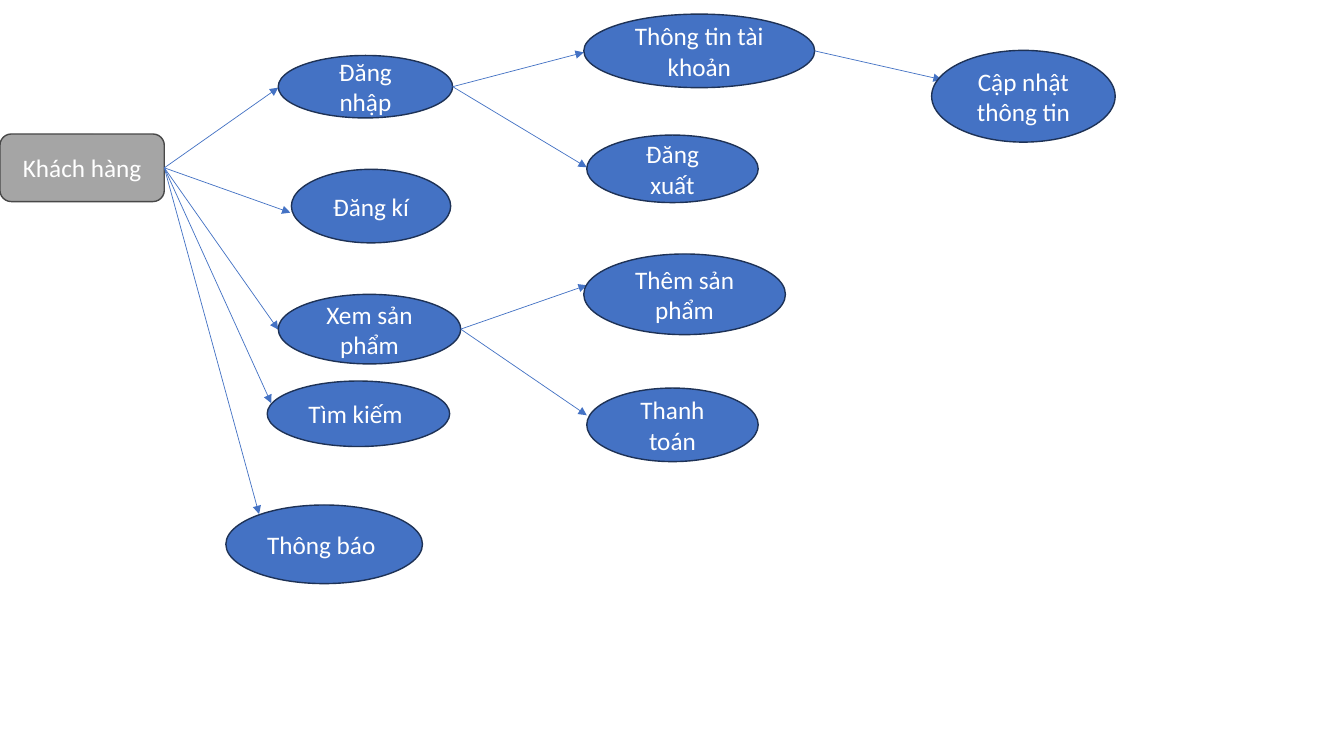
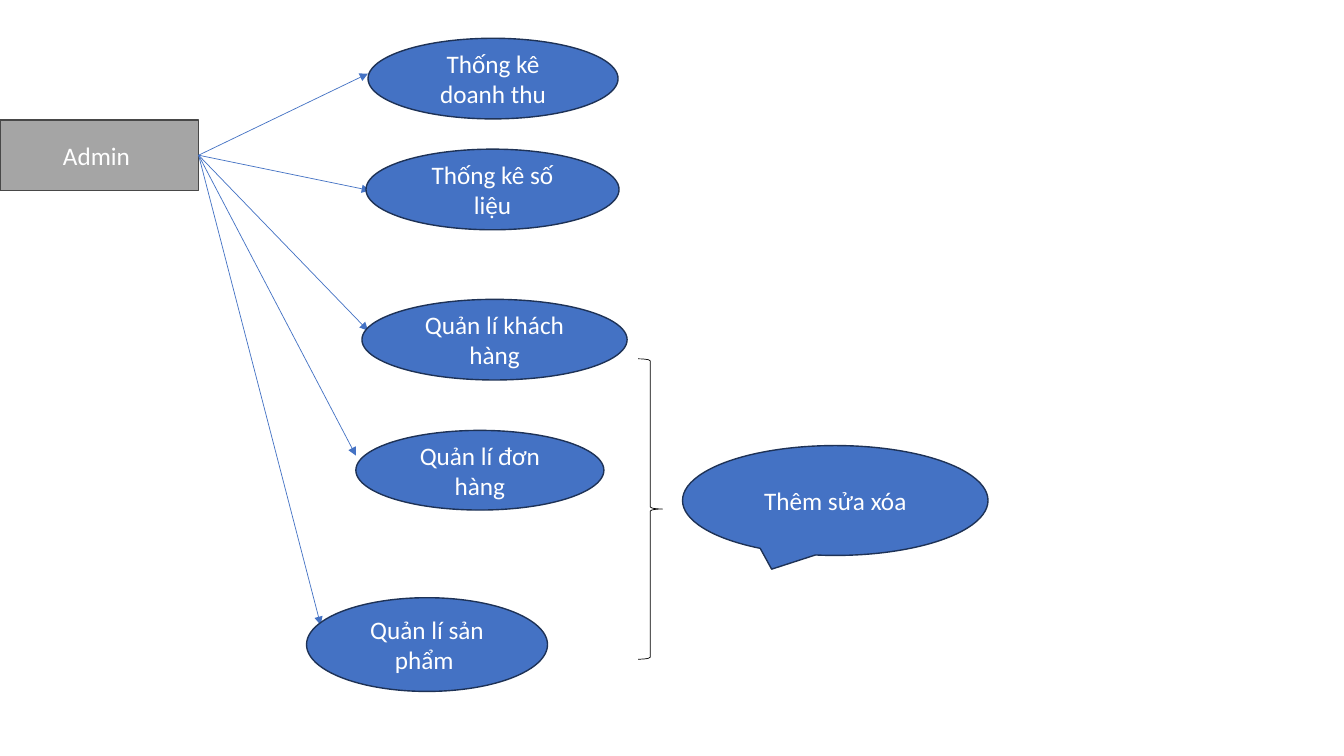
import dataclasses

import lxml.etree
import pptx
import pptx.dml.color
import pptx.enum.shapes
import pptx.enum.text
import pptx.oxml.ns
import pptx.util

Inches = pptx.util.Inches
Preset = pptx.enum.shapes.MSO_SHAPE


@dataclasses.dataclass(frozen=True)
class Theme:
    actor_fill: str = "A5A5A5"
    actor_outline: str = "484848"
    action_fill: str = "4472C4"
    action_outline: str = "1E3256"
    arrow: str = "4472C4"
    brace: str = "000000"
    text: str = "FFFFFF"
    font: str = "Calibri"
    text_size: float = 18
    outline_width: float = 1
    thin_width: float = 0.5


@dataclasses.dataclass(frozen=True)
class Box:
    left: float
    top: float
    width: float
    height: float

    def inside(self, left, top, width, height):
        return Box(self.left + left, self.top + top, width, height)


@dataclasses.dataclass(frozen=True)
class Action:
    text: str
    place: tuple
    arrow_tip: tuple


THEME = Theme()
SLIDE_BOX = Box(0, 0, 13.33, 7.5)

CUSTOMER_ACTIONS = [
    Action("Đăng nhập", (2.76, 0.55, 1.73, 0.62), (2.76, 0.87)),
    Action("Đăng kí", (2.89, 1.68, 1.58, 0.73), (2.88, 2.11)),
    Action("Xem sản phẩm", (2.76, 2.92, 1.81, 0.69), (2.76, 3.27)),
    Action("Tìm kiếm ", (2.65, 3.78, 1.81, 0.65), (2.69, 4)),
    Action("Thông báo ", (2.24, 5.01, 1.95, 0.78), (2.57, 5.1)),
]
LOGIN_ACTIONS = [
    Action("Thông tin tài khoản", (5.79, 0.14, 2.29, 0.73), (5.79, 0.52)),
    Action("Đăng xuất", (5.82, 1.34, 1.7, 0.67), (5.82, 1.66)),
]
PRODUCT_ACTIONS = [
    Action("Thêm sản phẩm", (5.79, 2.52, 2, 0.8), (5.82, 2.83)),
    Action("Thanh toán", (5.82, 3.85, 1.7, 0.73), (5.82, 4.12)),
]
ACCOUNT_ACTIONS = [
    Action("Cập nhật thông tin", (9.24, 0.5, 1.82, 0.91), (9.34, 0.79)),
]
ADMIN_ACTIONS = [
    Action("Thống kê doanh thu", (3.65, 0.38, 2.48, 0.8), (3.65, 0.73)),
    Action("Thống kê số liệu", (3.63, 1.48, 2.51, 0.8), (3.67, 1.89)),
    Action("Quản lí khách hàng", (3.59, 2.97, 2.63, 0.8), (3.65, 3.28)),
    Action("Quản lí đơn hàng", (3.53, 4.27, 2.46, 0.79), (3.53, 4.52)),
    Action("Quản lí sản phẩm ", (3.04, 5.93, 2.39, 0.93), (3.18, 6.2)),
]


def color(value):
    return pptx.dml.color.RGBColor.from_string(value)


def add_outline(slide, preset, box, line_color, line_width):
    shape = slide.shapes.add_shape(
        preset, Inches(box.left), Inches(box.top), Inches(box.width), Inches(box.height)
    )
    shape.shadow.inherit = False
    shape.fill.background()
    shape.line.color.rgb = color(line_color)
    shape.line.width = pptx.util.Pt(line_width)
    return shape


def add_node(slide, preset, box, text, fill, outline):
    shape = add_outline(slide, preset, box, outline, THEME.outline_width)
    shape.fill.solid()
    shape.fill.fore_color.rgb = color(fill)
    frame = shape.text_frame
    frame.text = text
    frame.word_wrap = True
    frame.vertical_anchor = pptx.enum.text.MSO_ANCHOR.MIDDLE
    paragraph = frame.paragraphs[0]
    paragraph.alignment = pptx.enum.text.PP_ALIGN.CENTER
    font = paragraph.runs[0].font
    font.name = THEME.font
    font.size = pptx.util.Pt(THEME.text_size)
    font.color.rgb = color(THEME.text)
    return shape


def add_actor(slide, preset, box, text):
    return add_node(slide, preset, box, text, THEME.actor_fill, THEME.actor_outline)


def add_action(slide, box, text, preset=Preset.OVAL):
    return add_node(slide, preset, box, text, THEME.action_fill, THEME.action_outline)


def add_arrow(slide, source, tip_left, tip_top):
    connector = slide.shapes.add_connector(
        pptx.enum.shapes.MSO_CONNECTOR.STRAIGHT,
        source.left + source.width,
        source.top + source.height // 2,
        Inches(tip_left),
        Inches(tip_top),
    )
    if source.auto_shape_type != Preset.OVAL:
        connector.begin_connect(source, 3)
    connector.line.color.rgb = color(THEME.arrow)
    connector.line.width = pptx.util.Pt(THEME.thin_width)
    qualify = pptx.oxml.ns.qn
    line = connector.line._get_or_add_ln()
    lxml.etree.SubElement(line, qualify("a:tailEnd"), type="triangle")
    lxml.etree.SubElement(connector._element.spPr, qualify("a:effectLst"))


def add_branch(slide, box, source, actions):
    for action in actions:
        left, top = action.arrow_tip
        add_arrow(slide, source, box.left + left, box.top + top)
    return [add_action(slide, box.inside(*action.place), action.text) for action in actions]


def add_customer_diagram(slide, box):
    customer = add_actor(
        slide, Preset.ROUNDED_RECTANGLE, box.inside(0, 1.33, 1.63, 0.67), "Khách hàng"
    )
    login, _, products, _, _ = add_branch(slide, box, customer, CUSTOMER_ACTIONS)
    account, _ = add_branch(slide, box, login, LOGIN_ACTIONS)
    add_branch(slide, box, products, PRODUCT_ACTIONS)
    add_branch(slide, box, account, ACCOUNT_ACTIONS)


def add_admin_diagram(slide, box):
    admin = add_actor(slide, Preset.RECTANGLE, box.inside(0, 1.19, 1.97, 0.7), "Admin ")
    add_branch(slide, box, admin, ADMIN_ACTIONS)
    add_outline(
        slide, Preset.RIGHT_BRACE, box.inside(6.33, 3.56, 0.24, 2.98),
        THEME.brace, THEME.thin_width,
    )
    add_action(slide, box.inside(6.77, 4.42, 3.03, 1.09), "Thêm sửa xóa", Preset.OVAL_CALLOUT)


def main():
    presentation = pptx.Presentation()
    presentation.slide_width = Inches(SLIDE_BOX.width)
    presentation.slide_height = Inches(SLIDE_BOX.height)
    for add_diagram in (add_customer_diagram, add_admin_diagram):
        slide = presentation.slides.add_slide(presentation.slide_layouts[6])
        add_diagram(slide, SLIDE_BOX)
    presentation.save("out.pptx")


if __name__ == "__main__":
    main()
